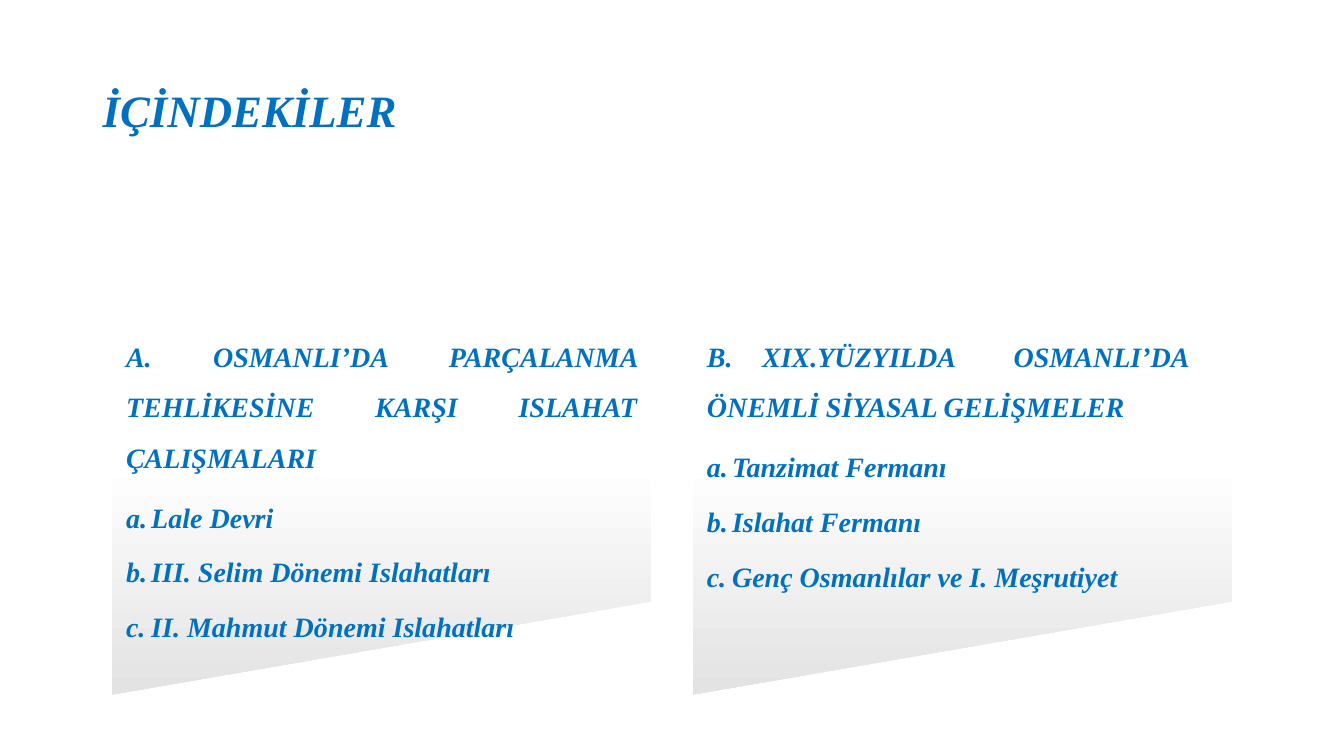
from lxml import etree
from pptx import Presentation
from pptx.dml.color import RGBColor
from pptx.enum.shapes import MSO_SHAPE
from pptx.enum.text import MSO_ANCHOR, PP_ALIGN
from pptx.oxml import parse_xml
from pptx.oxml.ns import nsdecls
from pptx.util import Inches, Pt

TRAPEZOID = MSO_SHAPE.FLOWCHART_MANUAL_OPERATION
JUSTIFY, LEFT = PP_ALIGN.JUSTIFY, PP_ALIGN.LEFT
TOP, MIDDLE = MSO_ANCHOR.TOP, MSO_ANCHOR.MIDDLE
COLORS = {"text": "0070C0", "light": "FFFFFF", "shade": "E3E3E3"}
FONT = "Times New Roman"

# Column grid, in inches
COLUMN_LEFT, COLUMN_PITCH, COLUMN_WIDTH = 1.11, 5.76, 5.35
PANEL_TOP, PANEL_HEIGHT = 2.27, 4.62
TEXT_TOP, TEXT_HEIGHT = 3.2, 2.77
HANGING = Inches(0.25)

SECTIONS = [
    ("A. OSMANLI’DA PARÇALANMA TEHLİKESİNE KARŞI ISLAHAT ÇALIŞMALARI",
     ["Lale Devri", "III. Selim Dönemi Islahatları", "II. Mahmut Dönemi Islahatları"]),
    ("B. XIX.YÜZYILDA  OSMANLI’DA  ÖNEMLİ SİYASAL GELİŞMELER",
     ["Tanzimat Fermanı", "Islahat Fermanı", "Genç Osmanlılar ve I. Meşrutiyet"]),
]


def add_text_box(left, top, width, height, inset, anchor):
    frame = page.shapes.add_textbox(
        Inches(left), Inches(top), Inches(width), Inches(height)).text_frame
    frame.word_wrap = True
    frame.vertical_anchor = anchor
    frame.margin_left = frame.margin_right = Inches(inset)
    frame.margin_top = frame.margin_bottom = 0
    return frame


def write(para, text, size=20, align=LEFT, spacing=1.5, after=0, lettered=False):
    para.alignment = align
    para.line_spacing = spacing
    para.space_after = Pt(after)
    if lettered:
        para.level = 1
        properties = para._p.get_or_add_pPr()
        properties.set("marL", str(HANGING))
        properties.set("indent", str(-HANGING))
        properties.append(parse_xml(
            f'<a:buAutoNum {nsdecls("a")} type="alphaLcPeriod"/>'))
    span = para.add_run()
    span.text = text
    span.font.name = FONT
    span.font.size = Pt(size)
    span.font.bold = span.font.italic = True
    span.font.color.rgb = RGBColor.from_string(COLORS["text"])


deck = Presentation()
deck.slide_width, deck.slide_height = Inches(13.33), Inches(7.5)
page = deck.slides.add_slide(deck.slide_layouts[6])

# Title
title = add_text_box(0.92, 0.4, 11.5, 1.45, inset=0.1, anchor=MIDDLE)
write(title.paragraphs[0], "İÇİNDEKİLER", size=32, spacing=0.9)

for column, (heading, topics) in enumerate(SECTIONS):
    left = COLUMN_LEFT + column * COLUMN_PITCH

    # Shaded panel: a trapezoid turned a quarter to the left about its centre
    panel = page.shapes.add_shape(
        TRAPEZOID,
        Inches(left + (COLUMN_WIDTH - PANEL_HEIGHT) / 2),
        Inches(PANEL_TOP + (PANEL_HEIGHT - COLUMN_WIDTH) / 2),
        Inches(PANEL_HEIGHT), Inches(COLUMN_WIDTH))
    panel.rotation = 270
    panel.shadow.inherit = False
    panel.line.fill.background()

    # The gradient stays vertical while the shape is turned
    panel.fill.gradient()
    gradient = panel._element.spPr.find("{*}gradFill")
    gradient.set("rotWithShape", "0")
    for child in list(gradient):
        gradient.remove(child)
    stops = etree.SubElement(gradient, gradient.tag.replace("gradFill", "gsLst"))
    for position, name in ((0, "light"), (50, "light"), (100, "shade")):
        stops.append(parse_xml(
            f'<a:gs {nsdecls("a")} pos="{position * 1000}">'
            f'<a:srgbClr val="{COLORS[name]}"/></a:gs>'))
    gradient.append(parse_xml(f'<a:lin {nsdecls("a")} ang="5400000" scaled="0"/>'))

    # Heading and lettered topics
    frame = add_text_box(left, TEXT_TOP, COLUMN_WIDTH, TEXT_HEIGHT, inset=0.14, anchor=TOP)
    write(frame.paragraphs[0], heading, align=JUSTIFY, after=7)
    for topic in topics:
        write(frame.add_paragraph(), topic, after=3, lettered=True)

deck.save("out.pptx")
